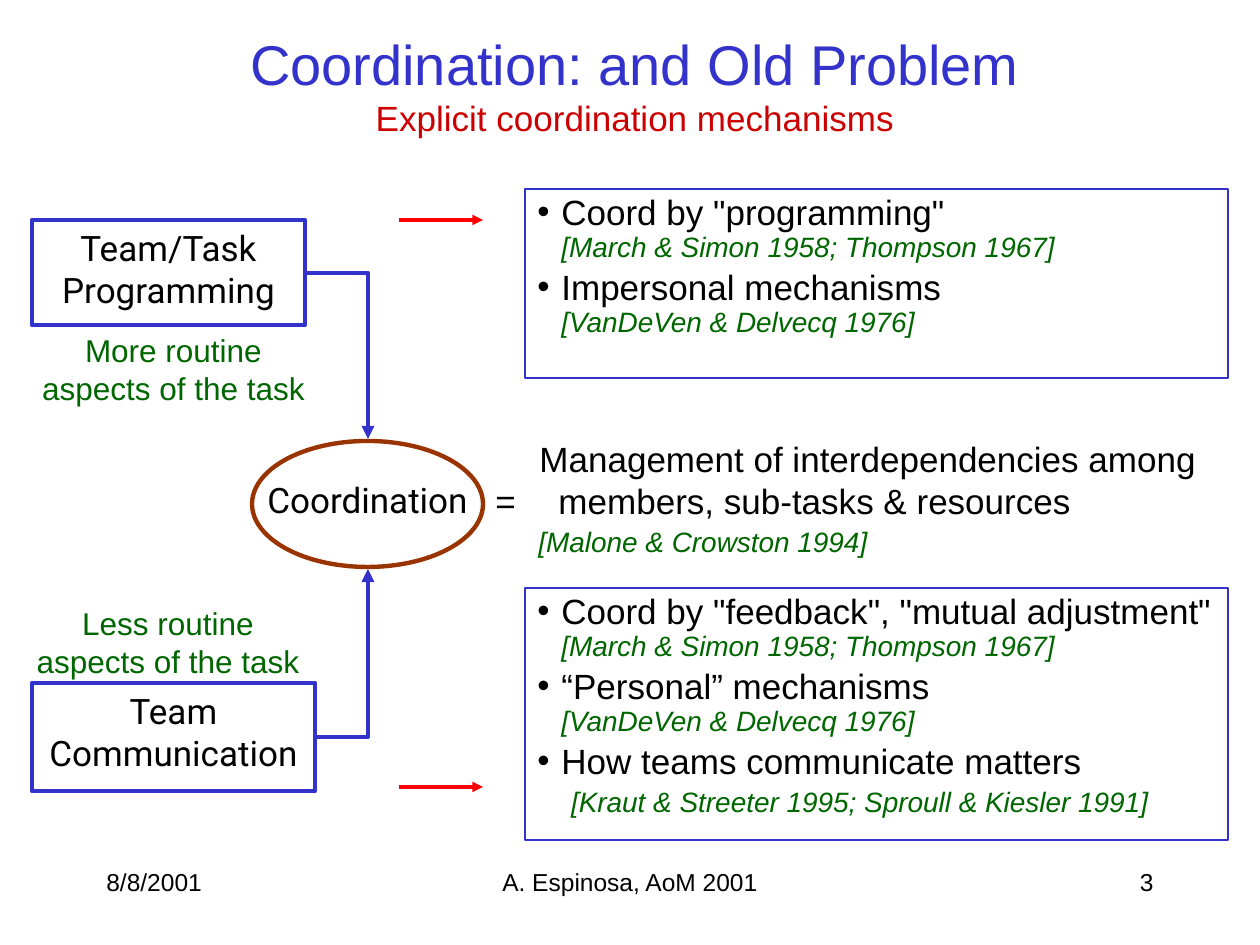
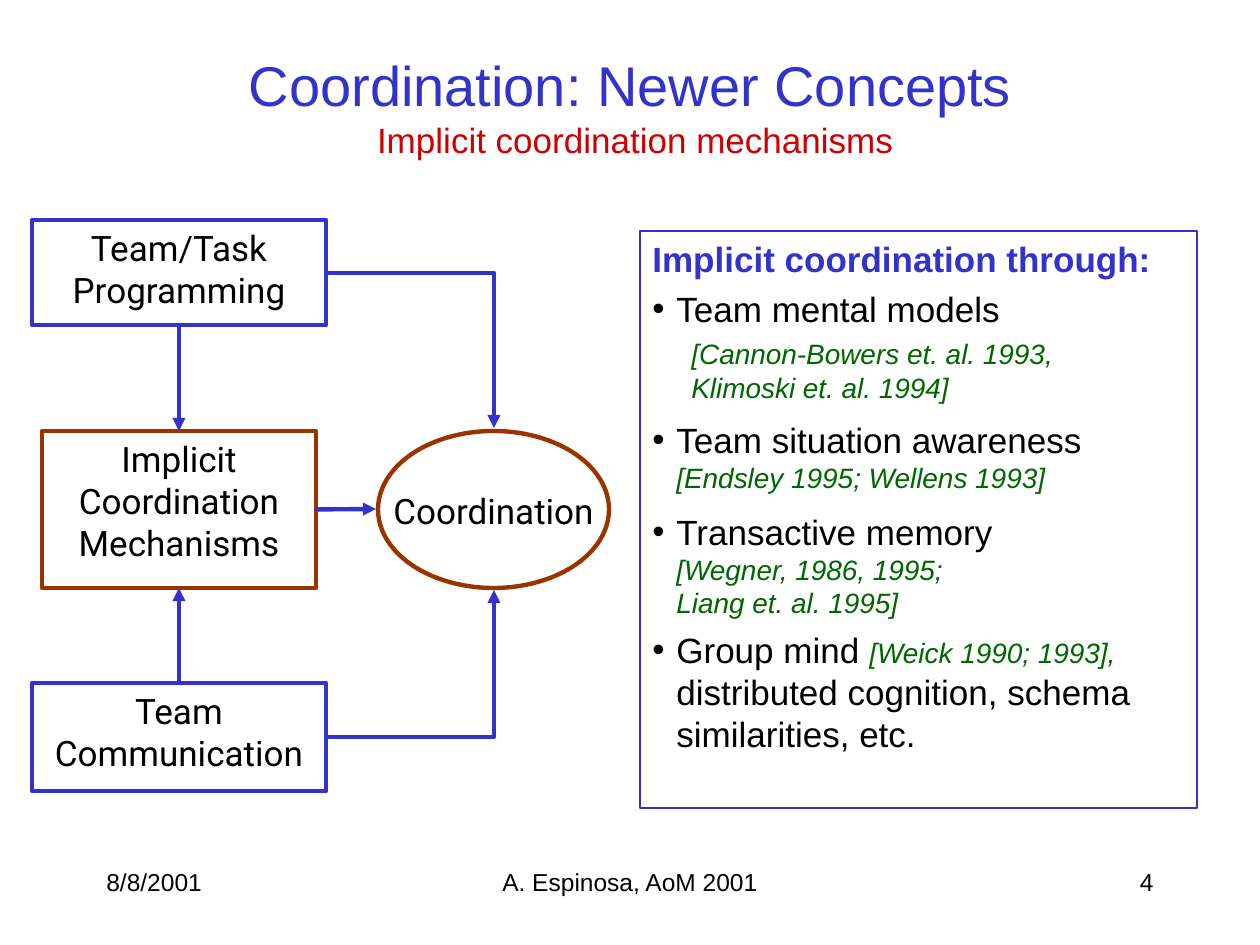
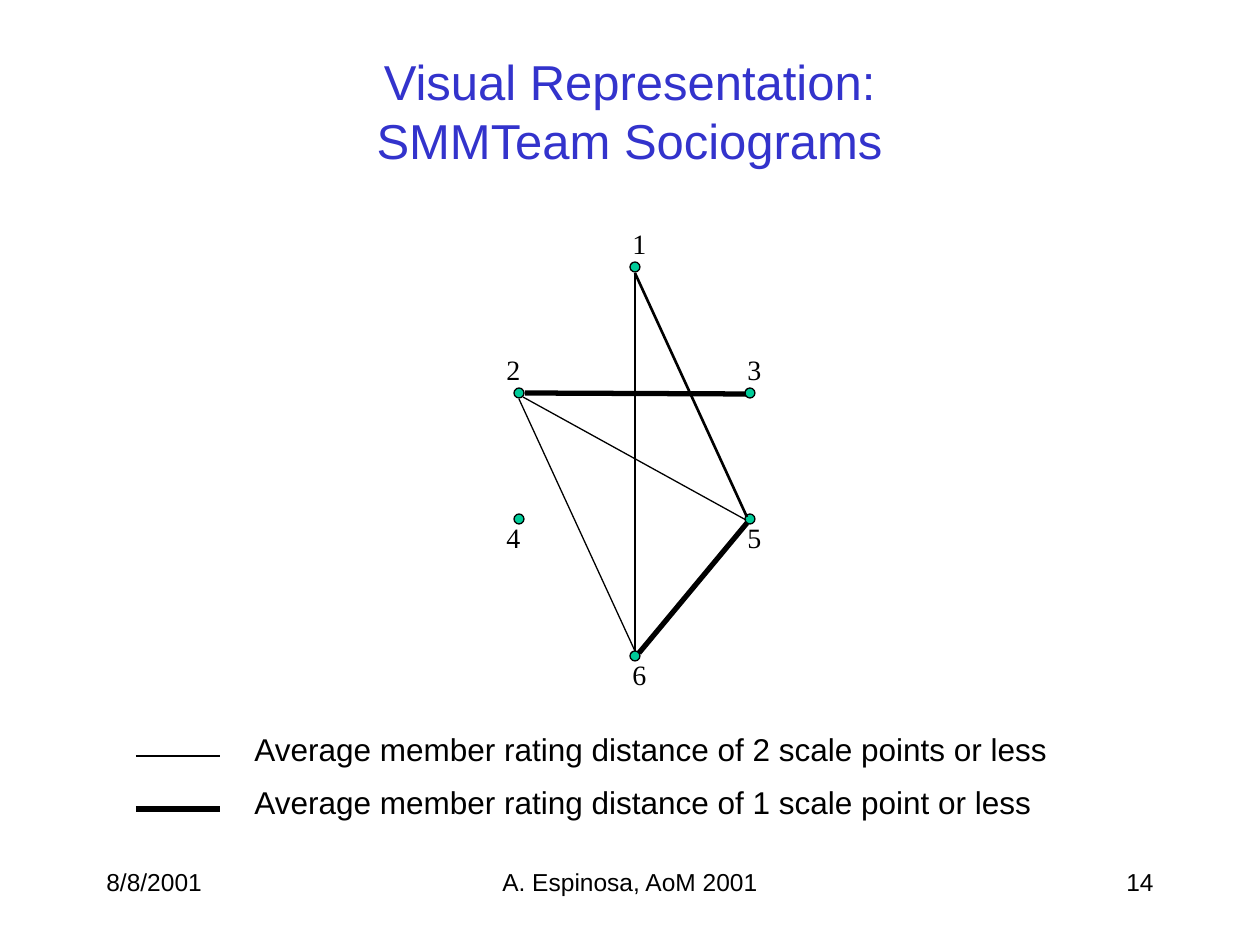
from lxml import etree
from pptx import Presentation
from pptx import util as u
from pptx.dml import color
from pptx.enum import shapes, text
from pptx.oxml import ns

SCALE = 914400 / 126
BLUE, RED, GREEN, BROWN = "3333CC", "CC0000", "006600", "993300"
BLACK, WHITE, ARROW, TEAL = "000000", "FFFFFF", "FF0000", "00CC99"
SANS, ROUND, SERIF = "Arial", "Roboto", "Times New Roman"
LEFT, MID, RIGHT = text.PP_ALIGN.LEFT, text.PP_ALIGN.CENTER, text.PP_ALIGN.RIGHT
KIND = shapes.MSO_SHAPE
LINE = shapes.MSO_CONNECTOR


def px(n):
    return u.Emu(round(n * SCALE))


def rgb(code):
    return color.RGBColor.from_string(code)


def add(node, tag, **attrs):
    return etree.SubElement(node, ns.qn(tag), **attrs)


def run(part, size=20, ink=BLACK, bold=False, slant=False):
    return part, size, ink, bold, slant


def cite(part):
    return run(part, 16, GREEN, slant=True)


def style(font, size, ink, bold, slant):
    font.size = u.Pt(size)
    font.color.rgb = rgb(ink)
    font.bold = bold
    font.italic = slant


def para(*runs, **opts):
    return runs, opts


def item(*runs, **opts):
    return para(*runs, **{"bullet": True, "margin": 24, "indent": -24, **opts})


def write(frame, paras, align=LEFT, face=SANS, anchor=text.MSO_ANCHOR.TOP):
    frame.word_wrap = True
    frame.vertical_anchor = anchor
    for i, (runs, opts) in enumerate(paras):
        p = frame.paragraphs[0] if i == 0 else frame.add_paragraph()
        p.alignment = align
        props = p._p.get_or_add_pPr()
        props.set("marL", str(px(opts.get("margin", 0))))
        props.set("indent", str(px(opts.get("indent", 0))))
        if "pitch" in opts:
            p.line_spacing = opts["pitch"]
        if i and "gap" in opts:
            p.space_before = u.Pt(opts["gap"])
        if opts.get("bullet"):
            tint = add(props, "a:buClr")
            add(tint, "a:srgbClr", val=BLACK)
            add(props, "a:buFont", typeface=SANS)
            add(props, "a:buChar", char="•")
        if "tab" in opts:
            stops = add(props, "a:tabLst")
            add(stops, "a:tab", pos=str(px(opts["tab"])), algn="l")
        p.font.name = face
        style(p.font, *runs[0][1:])
        for words, *look in runs:
            for n, part in enumerate(words.split("\n")):
                if n:
                    p.add_line_break()
                    add(p._p[-1], "a:rPr", sz=str(look[0] * 100))
                if part:
                    r = p.add_run()
                    r.text = part
                    if look != list(runs[0][1:]):
                        style(r.font, *look)


def label(slide, box, *paras, **opts):
    frame = slide.shapes.add_textbox(*map(px, box)).text_frame
    write(frame, paras, **opts)


def shape(slide, kind, box, ink, width, fill=None):
    s = slide.shapes.add_shape(kind, *map(px, box))
    s.shadow.inherit = False
    if fill:
        s.fill.solid()
        s.fill.fore_color.rgb = rgb(fill)
    else:
        s.fill.background()
    s.line.color.rgb = rgb(ink)
    s.line.width = u.Pt(width)
    return s


def link(slide, start, end, ink=BLACK, width=1.5, head=False, bent=False):
    kind = LINE.ELBOW if bent else LINE.STRAIGHT
    c = slide.shapes.add_connector(kind, *map(px, (*start, *end)))
    c.line.color.rgb = rgb(ink)
    c.line.width = u.Pt(width)
    props = c._element.spPr
    if bent:
        props.find(ns.qn("a:prstGeom")).set("prst", "bentConnector2")
    if head:
        add(c.line._get_or_add_ln(), "a:tailEnd", type="triangle")
    add(props, "a:effectLst")
    return c


def flow(slide, start, end, **opts):
    return link(slide, start, end, BLUE, 2.5, head=True, **opts)


def join(slide, first, side, last, other):
    c = flow(slide, (0, 0), (9, 9))
    c.begin_connect(first, side)
    c.end_connect(last, other)


def step(slide, box, *lines, ink=BLUE):
    s = shape(slide, KIND.FLOWCHART_PROCESS, box, ink, 2.5, WHITE)
    write(s.text_frame, [para(run(t)) for t in lines], MID, ROUND)
    return s


def oval(slide, box, drop):
    x, y, w, h = box
    s = shape(slide, KIND.OVAL, box, BROWN, 2.5, WHITE)
    tint = s._element.spPr.find(ns.qn("a:solidFill"))[0]
    add(tint, "a:alpha", val="50000")
    label(slide, (x, y + drop, w, 97), para(run("Coordination")), align=MID, face=ROUND)


def panel(slide, box, *paras):
    s = shape(slide, KIND.RECTANGLE, box, BLUE, 1.5)
    write(s.text_frame, paras)


def title(slide, box, *runs):
    label(slide, box, para(*runs), align=MID, anchor=text.MSO_ANCHOR.MIDDLE)


def footer(slide, box, page):
    x, y, w, h = box
    cells = (
        (0, 263, "8/8/2001", LEFT),
        (336, 400, "A. Espinosa, AoM 2001", MID),
        (w - 263, 263, page, RIGHT),
    )
    for dx, wide, words, align in cells:
        label(slide, (x + dx, y, wide, h), para(run(words, 14)), align=align)


def teams(slide, box, low):
    x, y, w, h = box
    top = step(slide, (x, y, w, 105), "Team/Task", "Programming")
    base = step(slide, (x, y + h - 108, low, 108), "Team", "Communication")
    return top, base


def merge(slide, box, low, x, top, base):
    left, y, w, h = box
    flow(slide, (left + w + 2, y + 53), (x, top), bent=True)
    flow(slide, (left + low + 2, y + h - 54), (x, base), bent=True)


def meaning(slide, box):
    label(
        slide, box,
        para(run("Management of interdependencies among"), margin=44),
        para(run("=\tmembers, sub-tasks & resources"), tab=39),
        para(cite("[Malone & Crowston 1994]"), margin=43, gap=2),
    )


def explicit(slide, box):
    x, y, w, h = box
    title(slide, (x + 31, 0, 1144, 168),
          run("Coordination: and Old Problem\n", 32, BLUE),
          run("Explicit coordination mechanisms", 20, RED))
    area = (x, y, 273, 571)
    teams(slide, area, 283)
    oval(slide, (x + 220, y + 221, 231, 126), 31)
    merge(slide, area, 283, x + 336, y + 219, y + 349)
    tight = {"pitch": 0.9, "gap": 4}
    panel(slide, (x + 493, y - 31, 703, 189),
          item(run('Coord by "programming"\n'),
               cite("[March & Simon 1958; Thompson 1967]"), **tight),
          item(run("Impersonal mechanisms\n"),
               cite("[VanDeVen & Delvecq 1976]"), **tight))
    panel(slide, (x + 493, y + 368, 703, 252),
          item(run('Coord by "feedback", "mutual adjustment"\n'),
               cite("[March & Simon 1958; Thompson 1967]"), **tight),
          item(run("“Personal” mechanisms\n"),
               cite("[VanDeVen & Delvecq 1976]"), **tight),
          item(run("How teams communicate matters\n "),
               cite("[Kraut & Streeter 1995; Sproull & Kiesler 1991]"), **tight))
    for dy, wide, word in ((105, 305, "More"), (378, 294, "Less")):
        words = f"{word} routine aspects of the task"
        label(slide, (x - 11, y + dy, wide, 88), para(run(words, 18, GREEN)), align=MID)
    meaning(slide, (x + 451, y + 211, 735, 135))
    for dy in (0, 567):
        link(slide, (x + 367, y + dy), (x + 451, y + dy), ARROW, 2, head=True)


def implicit(slide, box):
    x, y, w, h = box
    title(slide, (x + 21, 32, 1155, 147),
          run("Coordination: Newer Concepts\n", 32, BLUE),
          run(" Implicit coordination mechanisms", 20, RED))
    core = step(slide, (x + 10, y + 211, 274, 157),
                "Implicit Coordination Mechanisms", ink=BROWN)
    panel(slide, (x + 608, y + 11, 557, 577),
          para(run("Implicit coordination through:", 20, BLUE, bold=True)),
          item(run("Team mental models"), gap=5),
          para(cite("[Cannon-Bowers et. al. 1993,\nKlimoski et. al. 1994]"),
               margin=39, gap=4),
          item(run("Team situation awareness\n"),
               cite("[Endsley 1995; Wellens 1993]"), gap=8),
          item(run("Transactive memory\n"),
               cite("[Wegner, 1986, 1995;\nLiang et. al. 1995]"), gap=9.5),
          item(run("Group mind "), cite("[Weick 1990; 1993], "),
               run("distributed cognition, schema similarities, etc."), gap=5))
    area = (x, y, 294, 571)
    top, base = teams(slide, area, 294)
    oval(slide, (x + 346, y + 211, 231, 157), 52)
    merge(slide, area, 294, x + 462, y + 208, y + 370)
    join(slide, top, 2, core, 0)
    join(slide, base, 0, core, 2)
    c = flow(slide, (x + 284, y + 289), (x + 344, y + 289))
    c.begin_connect(core, 3)


def graph(slide, box):
    x, y, w, h = box
    dots = (
        (116, 0, -10, -42), (0, 126, -20, -42), (231, 126, -10, -42),
        (0, 252, -20, 0), (231, 252, -10, 0), (116, 389, -10, 0),
    )
    for i, (dx, dy, across, down) in enumerate(dots, 1):
        spot = (x + dx, y + dy, 10, 10)
        shape(slide, KIND.FLOWCHART_CONNECTOR, spot, BLACK, 0.75, TEAL)
        place = (x + dx + across, y + dy + down, 42, 47)
        label(slide, place, para(run(str(i), 16)), face=SERIF)
    ties = (
        (121, 11, 233, 255, 1.5), (121, 11, 121, 389, 1.5),
        (11, 131, 232, 132, 3), (125, 391, 233, 261, 3),
        (121, 389, 5, 137, 0.75), (9, 135, 232, 258, 0.75),
    )
    for ax, ay, bx, by, width in ties:
        link(slide, (x + ax, y + ay), (x + bx, y + by), width=width)


def legend(slide, box):
    x, y, w, h = box
    for i, (words, width) in enumerate((("2 scale points", 1.5), ("1 scale point", 3))):
        row = y + i * 53
        link(slide, (x, row + 32), (x + 84, row + 32), width=width)
        words = f"Average member rating distance of {words} or less"
        label(slide, (x + 106, row, w - 106, 50), para(run(words, 18)))


def social(slide, box):
    x, y, w, h = box
    title(slide, (x, y, w, 157),
          run("Visual Representation:\nSMMTeam Sociograms", 28, BLUE))
    graph(slide, (x + 420, y + 230, 241, 399))
    legend(slide, (x + 42, y + 692, 946, 103))


def main():
    deck = Presentation()
    deck.slide_width, deck.slide_height = px(1260), px(945)
    pages = (
        (explicit, (32, 220, 1196, 620), "3"),
        (implicit, (32, 220, 1165, 588), "4"),
        (social, (94, 32, 1071, 795), "14"),
    )
    for build, box, page in pages:
        slide = deck.slides.add_slide(deck.slide_layouts[6])
        build(slide, box)
        footer(slide, (94, 861, 1072, 63), page)
    deck.save("out.pptx")


if __name__ == "__main__":
    main()
